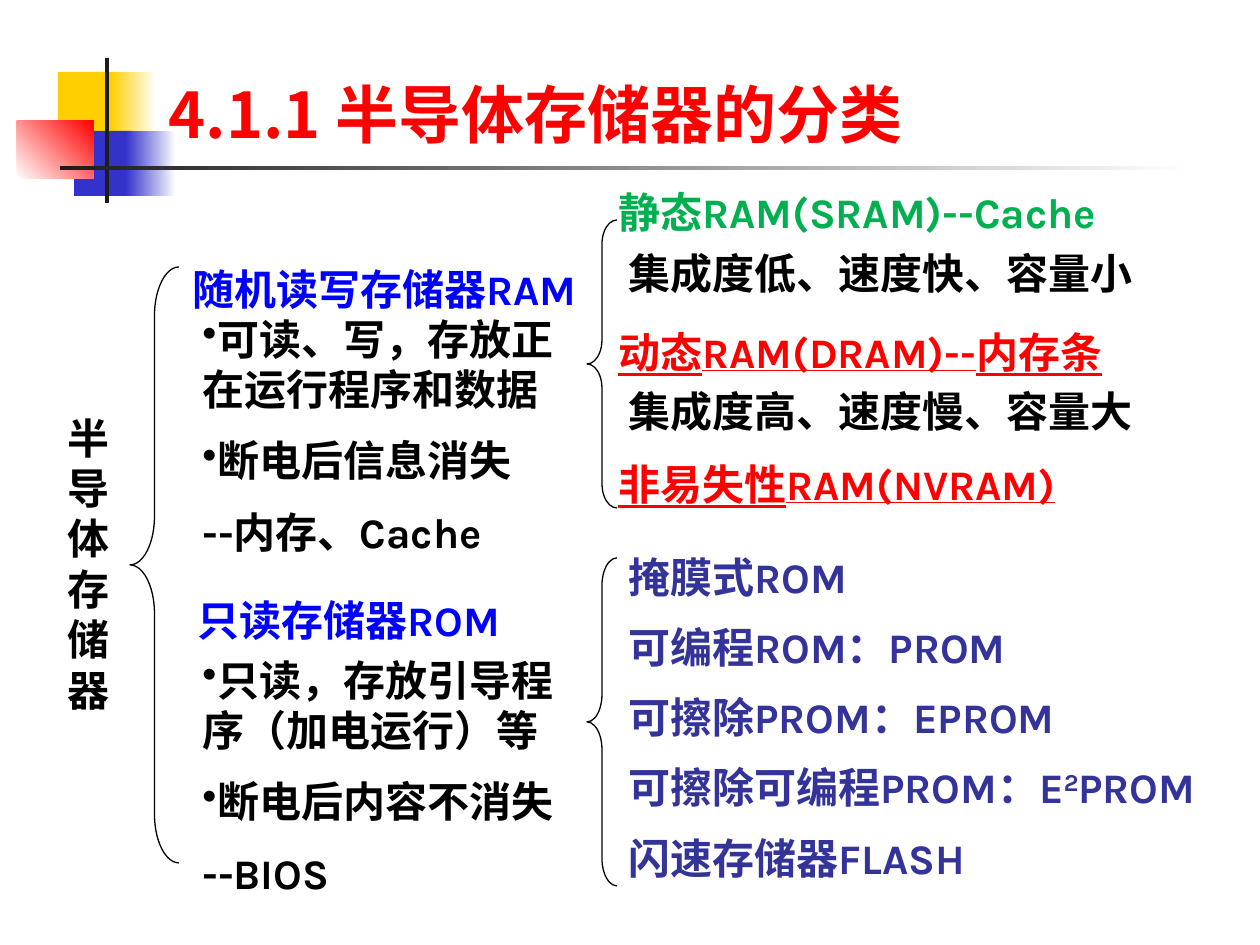
from lxml.etree import SubElement
from pptx import Presentation
from pptx.dml.color import RGBColor
from pptx.enum.shapes import MSO_SHAPE as SHAPE
from pptx.oxml.ns import qn
from pptx.util import Pt

PX = 914400 // 126
LATIN, CJK = "Karla", "Noto Sans CJK JP"
BLACK = RGBColor(0, 0, 0)
WHITE = RGBColor(255, 255, 255)
RED = RGBColor(255, 0, 0)
BLUE = RGBColor(0, 0, 255)
GREEN = RGBColor(0, 0xB0, 0x50)
INDIGO = RGBColor(0x33, 0x33, 0x99)
GOLD = RGBColor(0xFF, 0xCF, 0x01)
VIOLET = RGBColor(0x33, 0x33, 0xCC)
DARK = RGBColor(0x1C, 0x1C, 0x1C)

# box (left, top, width, height), colours from start to end, gradient angle
DECORATION = [
    ((58, 72, 60, 66), (GOLD,), 0),
    ((111, 72, 45, 66), (GOLD, WHITE), 0),
    ((74, 131, 58, 65), (VIOLET,), 0),
    ((126, 131, 50, 65), (VIOLET, WHITE), 0),
    ((17, 121, 77, 58), (WHITE, RED), 45),
    ((105, 58, 4, 145), (DARK,), 0),
    ((60, 166, 1134, 4), (DARK, WHITE), 0),
]

# box, curvature
BRACES = [
    ((130, 267, 49, 596), 0.997),
    ((587, 220, 30, 288), 0.805),
    ((587, 558, 30, 328), 0.915),
]

TITLE = "4.1.1 半导体存储器的分类"
ROOT = "半导体存储器"

# left, top, width, text, colour, underlined
LABELS = [
    (180, 257, 481, "随机读写存储器RAM", BLUE, False),
    (185, 588, 372, "只读存储器ROM", BLUE, False),
    (606, 180, 624, "静态RAM(SRAM)--Cache", GREEN, False),
    (616, 241, 561, "集成度低、速度快、容量小", BLACK, False),
    (606, 320, 614, "动态RAM(DRAM)--内存条", RED, True),
    (616, 379, 561, "集成度高、速度慢、容量大", BLACK, False),
    (606, 452, 581, "非易失性RAM(NVRAM)", RED, True),
]

# top, lines; a leading bullet sign marks a bulleted line
FEATURES = [
    (307, ["•可读、写，存放正在运行程序和数据", "•断电后信息消失", "--内存、Cache"]),
    (648, ["•只读，存放引导程序（加电运行）等", "•断电后内容不消失", "--BIOS"]),
]

# "^" sets off the superscript part
ROM_TYPES = [
    "掩膜式ROM",
    "可编程ROM：PROM",
    "可擦除PROM：EPROM",
    "可擦除可编程PROM：E^2^PROM",
    "闪速存储器FLASH",
]
ROM_TOP, ROM_STEP = 545, 70.25


def emu(box):
    return [round(v * PX) for v in box]


def add_shape(slide, kind, box):
    sp = slide.shapes.add_shape(kind, *emu(box))
    sp.shadow.inherit = False
    return sp


def add_block(slide, box, colours, angle):
    sp = add_shape(slide, SHAPE.RECTANGLE, box)
    sp.line.fill.background()
    if len(colours) == 1:
        sp.fill.solid()
        sp.fill.fore_color.rgb = colours[0]
        return
    sp.fill.gradient()
    sp.fill.gradient_angle = angle
    for stop, colour in zip(sp.fill.gradient_stops, colours):
        stop.color.rgb = colour


def add_brace(slide, box, curvature):
    sp = add_shape(slide, SHAPE.LEFT_BRACE, box)
    sp.adjustments[0] = curvature
    sp.fill.background()
    sp.line.color.rgb = BLACK
    sp.line.width = Pt(0.75)


def add_text(slide, box, lines, colour, size=24, latin=LATIN, underline=False, wrap=True):
    tf = slide.shapes.add_textbox(*emu(box)).text_frame
    tf.word_wrap = wrap
    for i, line in enumerate(lines):
        p = tf.add_paragraph() if i else tf.paragraphs[0]
        if i:
            p.space_before = Pt(size / 2)
        if line.startswith("•"):
            SubElement(p._p.get_or_add_pPr(), qn("a:buChar")).set("char", "•")
        for n, part in enumerate(line.lstrip("•").split("^")):
            r = p.add_run()
            r.text = part
            font = r.font
            font.size, font.bold, font.name = Pt(size), True, latin
            font.color.rgb = colour
            if underline:
                font.underline = True
            rPr = r._r.get_or_add_rPr()
            ea = SubElement(rPr, qn("a:ea"))
            ea.set("typeface", CJK)
            if n % 2:
                rPr.set("baseline", "30000")


def main():
    prs = Presentation()
    prs.slide_width, prs.slide_height = emu((1260, 945))
    slide = prs.slides.add_slide(prs.slide_layouts[6])

    for block in DECORATION:
        add_block(slide, *block)
    for brace in BRACES:
        add_brace(slide, *brace)

    add_text(slide, (156, 69, 836, 100), [TITLE], RED, size=36, latin=CJK, wrap=False)
    add_text(slide, (55, 406, 94, 318), [ROOT], BLACK)
    for left, top, width, text, colour, underline in LABELS:
        add_text(slide, (left, top, width, 63), [text], colour, underline=underline)
    for top, lines in FEATURES:
        add_text(slide, (190, top, 387, 267), lines, BLACK)
    for i, text in enumerate(ROM_TYPES):
        add_text(slide, (616, ROM_TOP + i * ROM_STEP, 644, 63), [text], INDIGO)

    prs.save("out.pptx")


if __name__ == "__main__":
    main()
